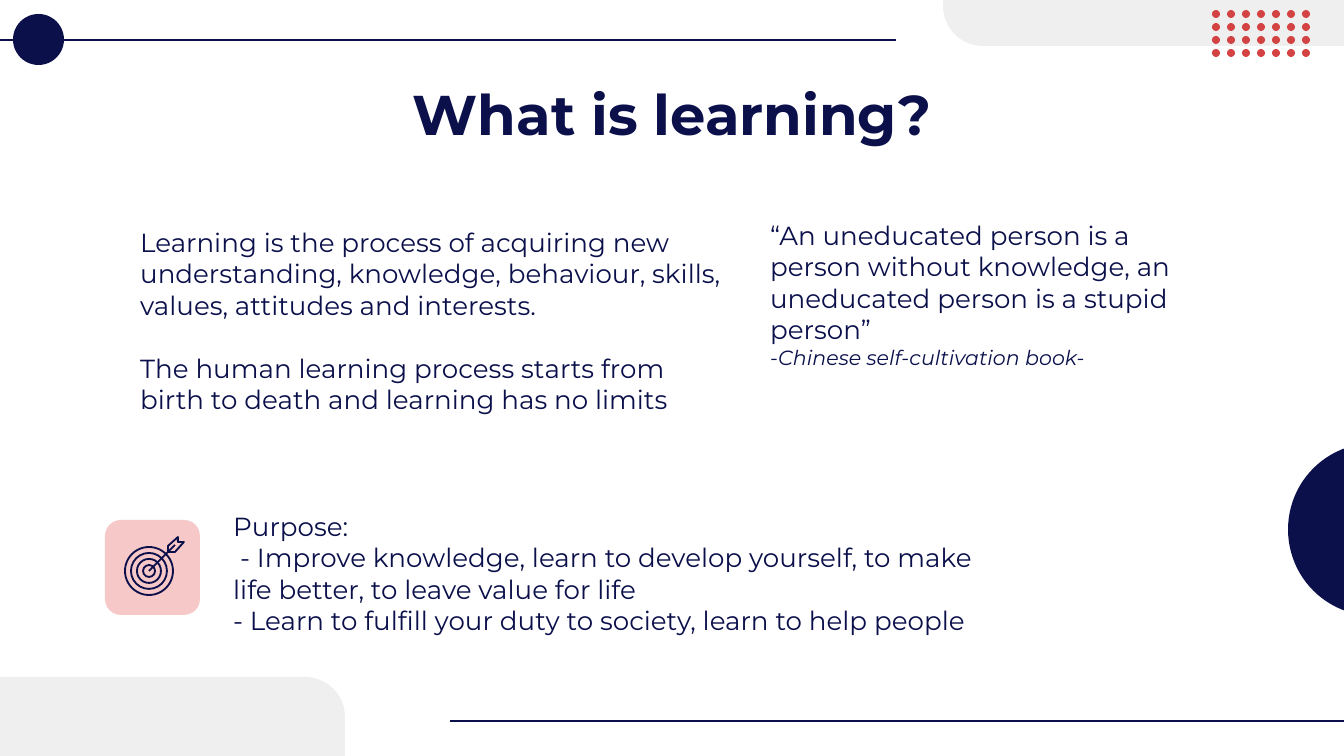
import pptx
import pptx.dml.color
import pptx.enum.shapes
import pptx.enum.text
import pptx.oxml.ns
import pptx.util
from lxml import etree

NAVY = pptx.dml.color.RGBColor(0x0B, 0x10, 0x4B)
GRAY = pptx.dml.color.RGBColor(0xEF, 0xEF, 0xEF)
RED = pptx.dml.color.RGBColor(0xD4, 0x43, 0x43)
PINK = pptx.dml.color.RGBColor(0xF7, 0xC8, 0xC8)
FONT = "Montserrat"
PX = 914400 / 134.4  # EMU in one px
SHAPES = pptx.enum.shapes.MSO_SHAPE

presentation = pptx.Presentation()
presentation.slide_width = round(1344 * PX)
presentation.slide_height = round(756 * PX)
slide = presentation.slides.add_slide(presentation.slide_layouts[6])


def add_filled(kind, left, top, width, height, color):
    shape = slide.shapes.add_shape(kind, *(round(v * PX) for v in (left, top, width, height)))
    shape.shadow.inherit = False
    shape.fill.solid()
    shape.fill.fore_color.rgb = color
    shape.line.fill.background()
    return shape


def add_text(left, top, width, height, lines, size=14):
    box = slide.shapes.add_textbox(*(round(v * PX) for v in (left, top, width, height)))
    frame = box.text_frame
    frame.word_wrap = True
    frame.margin_left = frame.margin_right = pptx.util.Inches(0.1)
    frame.margin_top = frame.margin_bottom = pptx.util.Inches(0.1)
    frame.text = "\n".join(lines)
    for paragraph in frame.paragraphs:
        paragraph.font.name = FONT
        paragraph.font.size = pptx.util.Pt(size)
        paragraph.font.color.rgb = NAVY
    return frame.paragraphs


# Rules at the bottom and top, and the shaft of the target's arrow
connectors = []
for x1, y1, x2, y2, weight in [
    (1345, 721, 450, 721, 0.75),
    (896, 40, 0, 40, 1),
    (149, 571, 175, 545, 1),
]:
    connector = slide.shapes.add_connector(
        pptx.enum.shapes.MSO_CONNECTOR.STRAIGHT, *(round(v * PX) for v in (x1, y1, x2, y2)))
    connector.line.color.rgb = NAVY
    connector.line.width = pptx.util.Pt(weight)
    properties = connector._element.spPr
    etree.SubElement(properties, pptx.oxml.ns.qn("a:effectLst"))
    connectors.append(connector)
arrow_shaft = connectors[-1]

# Navy circle and half circle (angles in 60000ths of a degree, over 100000)
add_filled(SHAPES.OVAL, 13, 14, 51, 51, NAVY)
half_circle = add_filled(SHAPES.PIE, 1288, 443, 173, 173, NAVY)
half_circle.adjustments[0] = 54
half_circle.adjustments[1] = 162

# Gray corner panels
for left, top, width, rotation in [(943, -34, 411, 180), (0, 677, 345, 0)]:
    panel = add_filled(SHAPES.ROUND_1_RECTANGLE, left, top, width, 80, GRAY)
    panel.adjustments[0] = 0.5
    panel.rotation = rotation

# Red dot grid
for row in range(4):
    for column in range(7):
        add_filled(SHAPES.OVAL, 1212 + 15 * column, 10 + 13 * row, 8, 8, RED)

# Title
title = add_text(106, 66, 1133, 85, ["What is learning?"], 30)[0]
title.alignment = pptx.enum.text.PP_ALIGN.CENTER
title.font.bold = True

# Quote with its source
quote = add_text(757, 206, 481, 141, [
    "“An uneducated person is a person without knowledge, "
    "an uneducated person is a stupid person”"])[0]
quote.add_line_break()
source = quote.add_run()
source.text = "-Chinese self-cultivation book-"
source.font.size = pptx.util.Pt(11)
source.font.italic = True

# Purpose
add_text(220, 497, 792, 142, [
    "Purpose:",
    " - Improve knowledge, learn to develop yourself, to make life better, "
    "to leave value for life",
    "- Learn to fulfill your duty to society, learn to help people"])

# Target icon: tile, rings, arrow
add_filled(SHAPES.ROUNDED_RECTANGLE, 105, 520, 95, 95, PINK)
icon_outlines = []
for radius in (24, 18, 12, 6):
    icon_outlines.append(
        add_filled(SHAPES.OVAL, 149 - radius, 571 - radius, 2 * radius, 2 * radius, PINK))
builder = slide.shapes.build_freeform(168, 546, scale=PX)
builder.add_line_segments([(178, 537), (178, 542), (184, 542), (175, 552), (168, 552)])
arrow_feathers = builder.convert_to_shape()
arrow_feathers.shadow.inherit = False
icon_outlines.append(arrow_feathers)
for outline in icon_outlines:
    outline.fill.background()
    outline.line.color.rgb = NAVY
    outline.line.width = pptx.util.Pt(1)
slide.shapes._spTree.append(arrow_shaft._element)  # bring to front

# Definition
definition = add_text(127, 213, 621, 276, [
    "Learning is the process of acquiring new understanding, knowledge, behaviour, "
    "skills, values, attitudes and interests.",
    "The human learning process starts from birth to death and learning has no limits"])
definition[1].space_before = pptx.util.Pt(17)

presentation.save("out.pptx")
